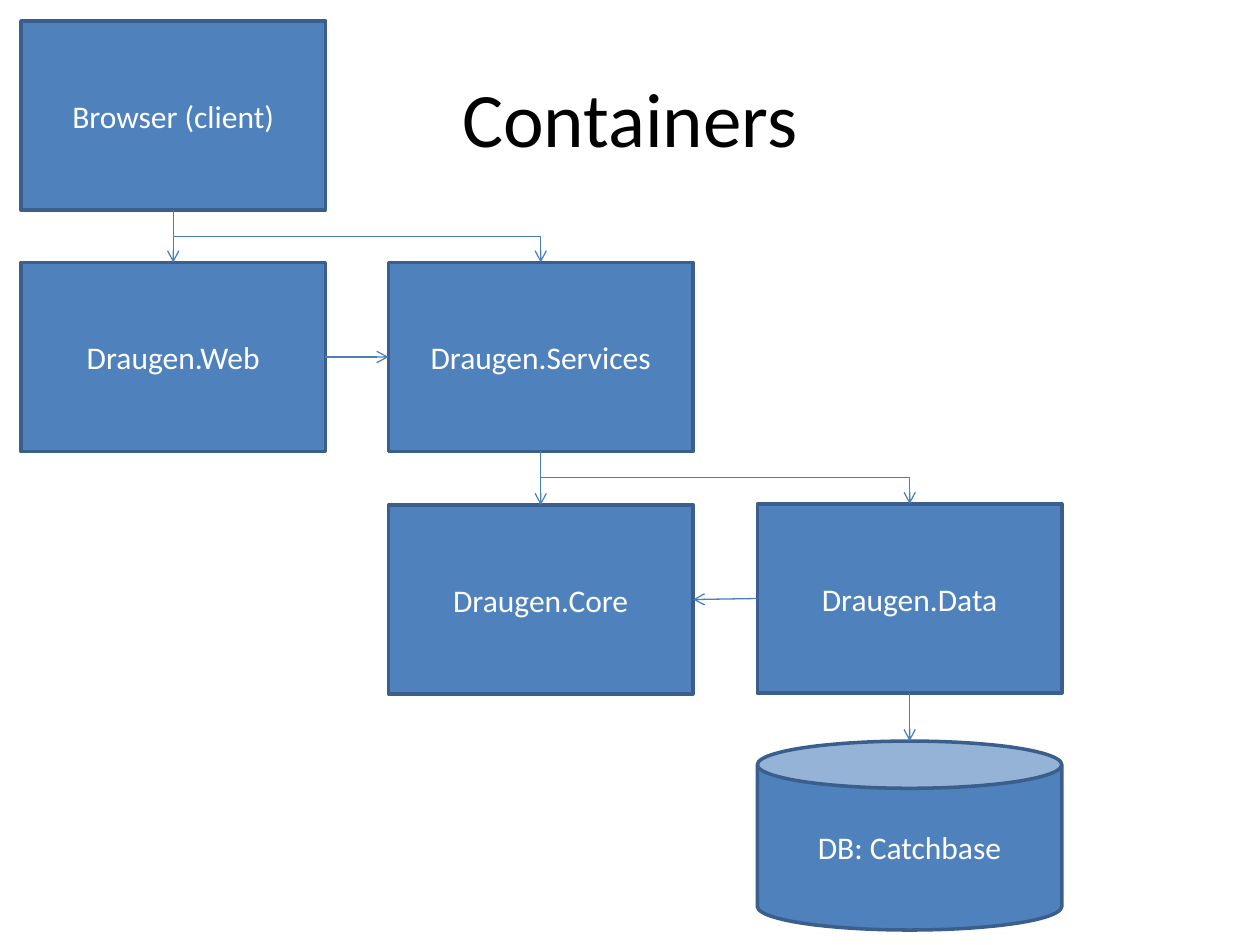
from dataclasses import dataclass

import pptx
import pptx.dml.color
import pptx.enum.shapes
import pptx.enum.text
import pptx.oxml
import pptx.oxml.ns
import pptx.util

Pt = pptx.util.Pt
Shapes = pptx.enum.shapes.MSO_SHAPE
Connectors = pptx.enum.shapes.MSO_CONNECTOR

COLORS = {
    "fill": "4F81BD",
    "outline": "3A5F8C",
    "arrow": "4B7EBC",
    "box text": "FFFFFF",
    "title": "000000",
}
FONT = "Calibri"
BOX_WIDTH, BOX_HEIGHT = 174, 108
COLUMNS = (12, 222, 432.8)
ROWS = (12, 150, 288, 423.5)
TOP, LEFT, BOTTOM, RIGHT = range(4)  # connection sites of a rectangle
CAN_TOP = 1  # connection site of a can


@dataclass(frozen=True)
class Container:
    name: str
    column: int
    row: int
    preset: Shapes = Shapes.RECTANGLE
    nudge: float = 0


@dataclass(frozen=True)
class Arrow:
    source: str
    source_site: int
    target: str
    target_site: int
    bent: bool = False


CONTAINERS = (
    Container("Draugen.Web", 0, 1),
    Container("Draugen.Services", 1, 1),
    Container("Browser (client)", 0, 0),
    Container("Draugen.Core", 1, 2, nudge=0.6),
    Container("Draugen.Data", 2, 2),
    Container("DB: Catchbase", 2, 3, Shapes.CAN),
)
ARROWS = (
    Arrow("Draugen.Web", RIGHT, "Draugen.Services", LEFT),
    Arrow("Browser (client)", BOTTOM, "Draugen.Web", TOP),
    Arrow("Browser (client)", BOTTOM, "Draugen.Services", TOP, bent=True),
    Arrow("Draugen.Data", LEFT, "Draugen.Core", RIGHT),
    Arrow("Draugen.Services", BOTTOM, "Draugen.Core", TOP),
    Arrow("Draugen.Data", BOTTOM, "DB: Catchbase", TOP),
    Arrow("Draugen.Services", BOTTOM, "Draugen.Data", TOP, bent=True),
)


def color(name: str) -> pptx.dml.color.RGBColor:
    return pptx.dml.color.RGBColor.from_string(COLORS[name])


def set_text(shape, text: str, size: float, color_name: str) -> None:
    frame = shape.text_frame
    frame.text = text
    frame.word_wrap = True
    frame.vertical_anchor = pptx.enum.text.MSO_ANCHOR.MIDDLE
    paragraph = frame.paragraphs[0]
    paragraph.alignment = pptx.enum.text.PP_ALIGN.CENTER
    font = paragraph.runs[0].font
    font.name = FONT
    font.size = Pt(size)
    font.color.rgb = color(color_name)


def add_container(slide, container: Container):
    shape = slide.shapes.add_shape(
        container.preset,
        Pt(COLUMNS[container.column]),
        Pt(ROWS[container.row] + container.nudge),
        Pt(BOX_WIDTH),
        Pt(BOX_HEIGHT),
    )
    shape.shadow.inherit = False
    shape.fill.solid()
    shape.fill.fore_color.rgb = color("fill")
    shape.line.color.rgb = color("outline")
    shape.line.width = Pt(2)
    set_text(shape, container.name, 18, "box text")
    return shape


def turn_elbow(connector) -> None:
    """Make an elbow leave and arrive vertically, keeping both its ends."""
    run, drop = connector.width, connector.height
    connector.left += (run - drop) // 2
    connector.top += (drop - run) // 2
    connector.width, connector.height = drop, run
    transform = connector._element.spPr.find(pptx.oxml.ns.qn("a:xfrm"))
    transform.set("rot", str(270 * 60000))
    transform.set("flipH", "1")


def add_arrow(slide, arrow: Arrow, shapes: dict) -> None:
    kind = Connectors.ELBOW if arrow.bent else Connectors.STRAIGHT
    connector = slide.shapes.add_connector(kind, 0, 0, 0, 0)
    target = shapes[arrow.target]
    connector.begin_connect(shapes[arrow.source], arrow.source_site)
    connector.end_connect(target, arrow.target_site)
    if target.auto_shape_type == Shapes.CAN:
        end = next(connector._element.iter(pptx.oxml.ns.qn("a:endCxn")))
        end.set("idx", str(CAN_TOP))
    if arrow.bent:
        turn_elbow(connector)
    connector.line.color.rgb = color("arrow")
    connector.line.width = Pt(0.75)
    namespace = pptx.oxml.ns.nsdecls("a")
    head = pptx.oxml.parse_xml(f'<a:tailEnd {namespace} type="arrow"/>')
    connector.line._get_or_add_ln().append(head)
    no_effect = pptx.oxml.parse_xml(f"<a:effectLst {namespace}/>")
    connector._element.spPr.append(no_effect)


def main() -> None:
    presentation = pptx.Presentation()
    presentation.slide_width, presentation.slide_height = Pt(720), Pt(540)
    slide = presentation.slides.add_slide(presentation.slide_layouts[6])
    title = slide.shapes.add_textbox(Pt(36), Pt(21.6), Pt(648), Pt(90))
    set_text(title, "Containers", 44, "title")
    shapes = {item.name: add_container(slide, item) for item in CONTAINERS}
    for arrow in ARROWS:
        add_arrow(slide, arrow, shapes)
    presentation.save("out.pptx")


if __name__ == "__main__":
    main()
